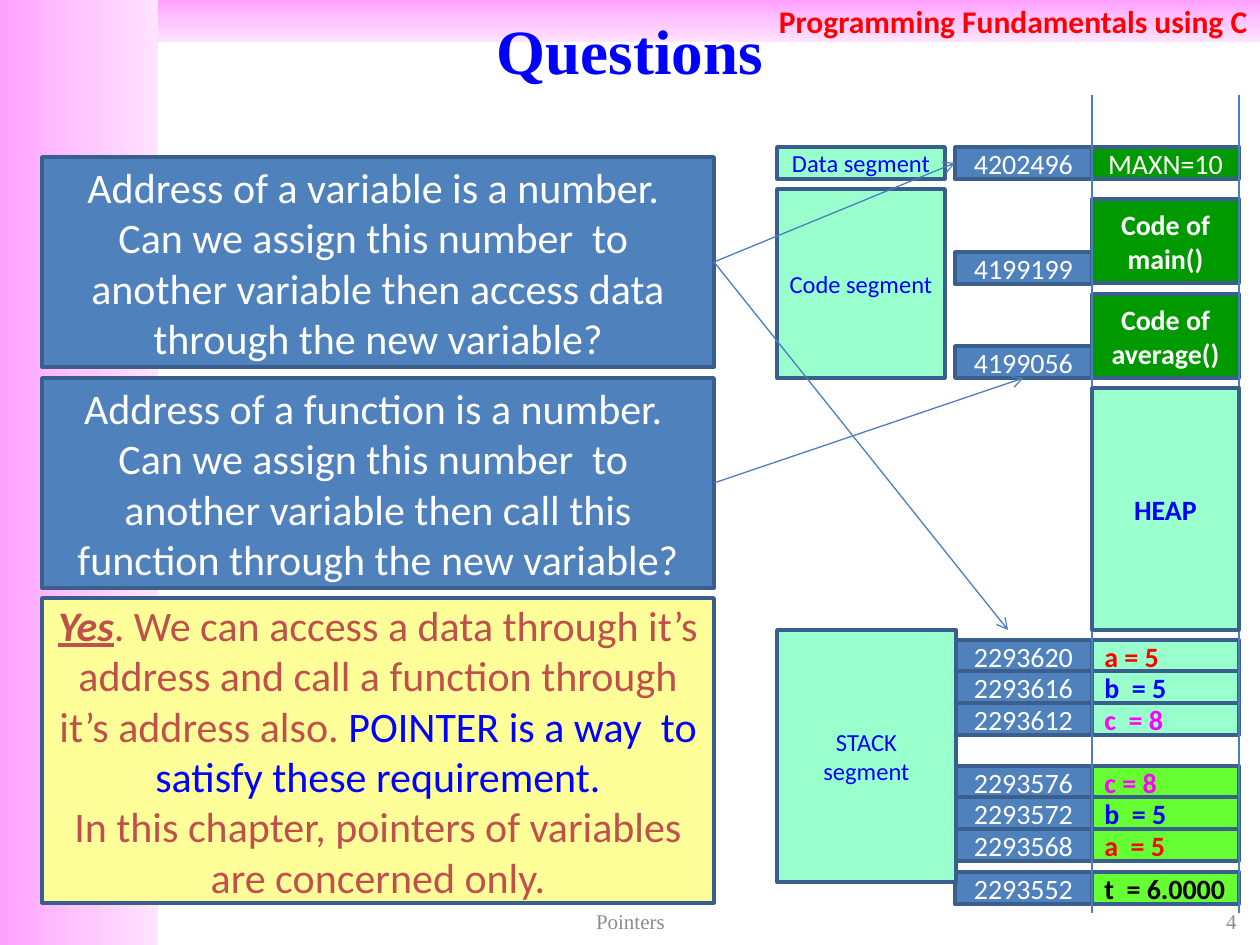
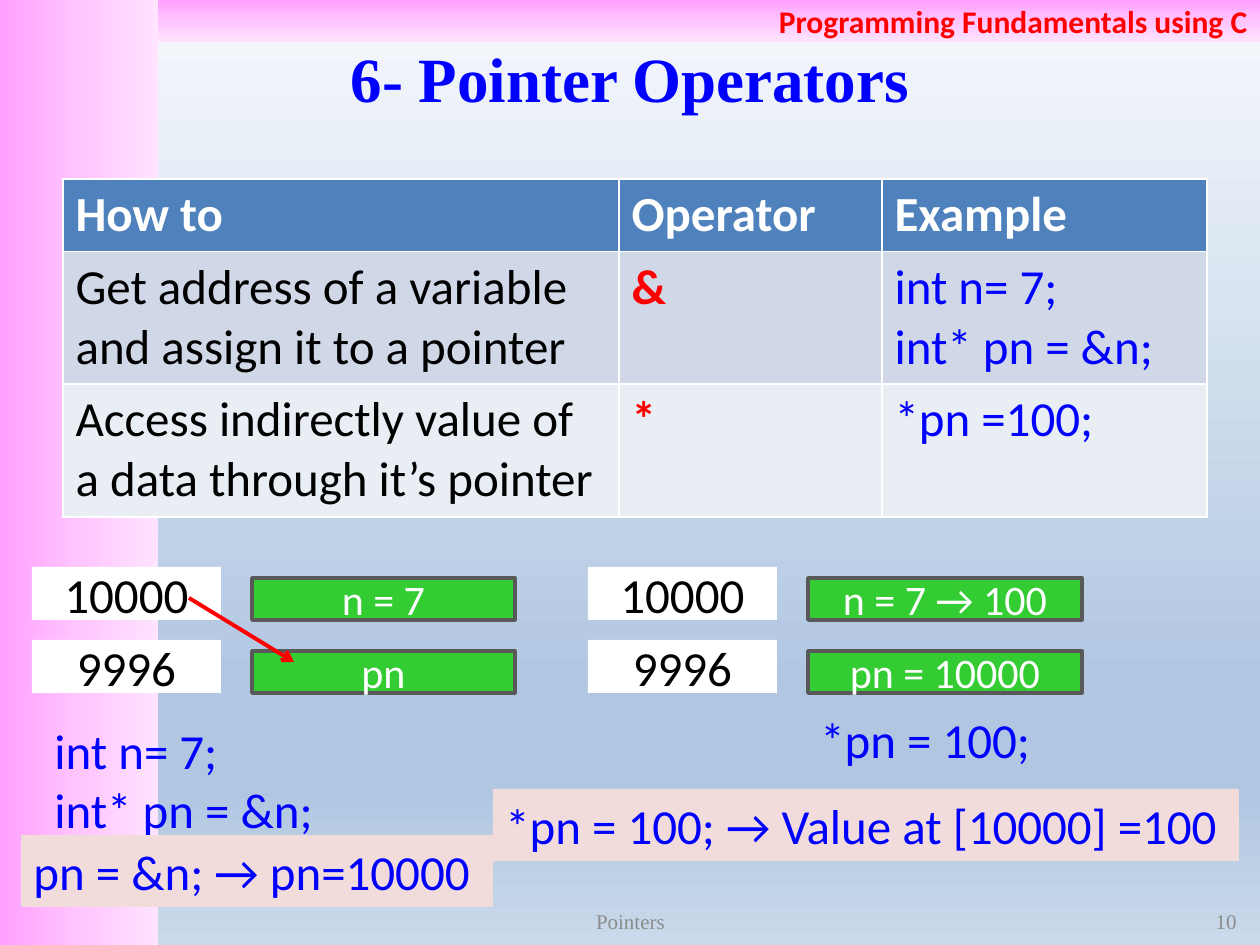
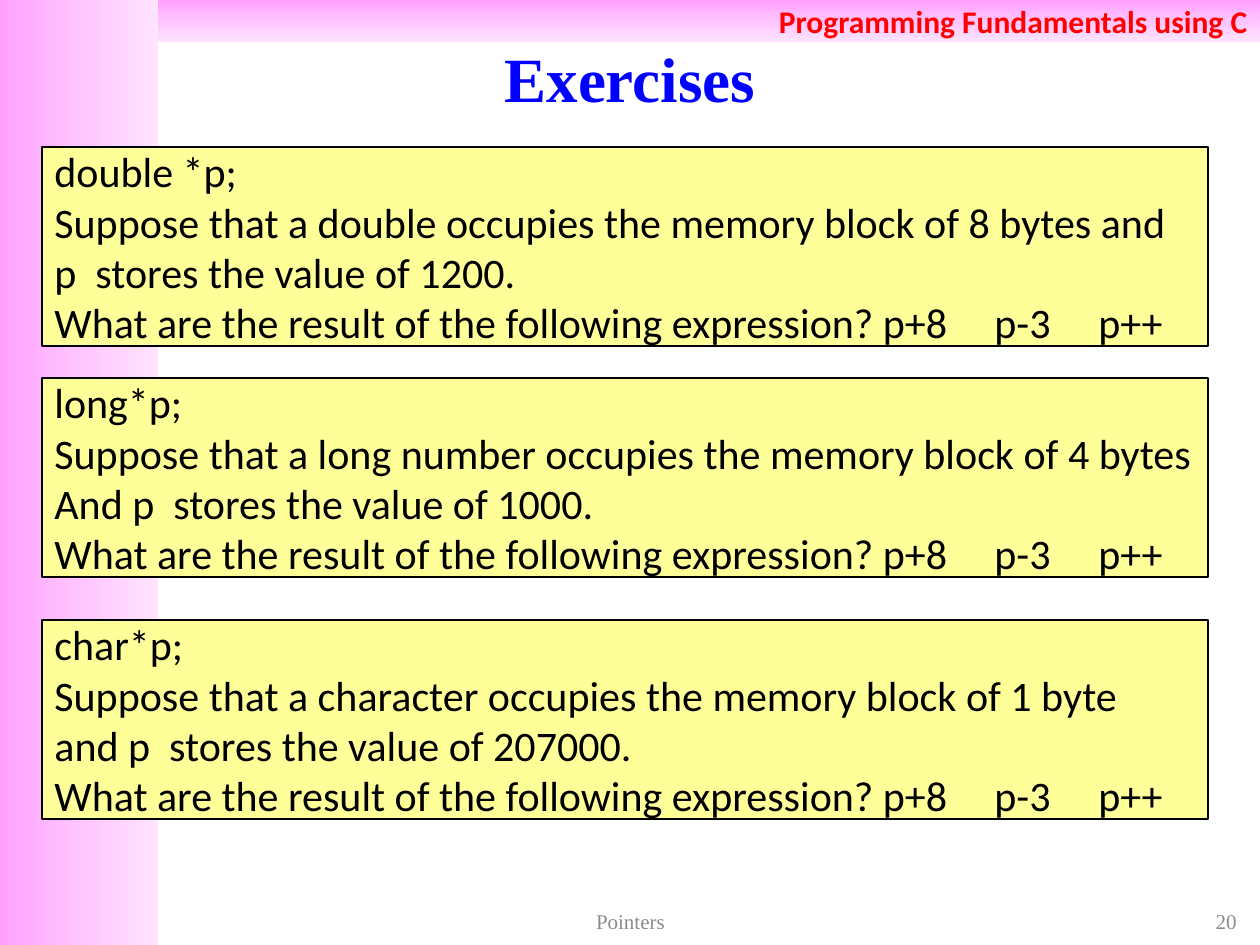
from lxml import etree
from pptx import Presentation, util as u
from pptx.dml.color import RGBColor
from pptx.enum import shapes, text
from pptx.oxml.ns import qn

EMU_PER_PX = 914400 / 126
COLORS = {
    "white": "FFFFFF", "black": "000000", "red": "FF0000", "blue": "0000FF",
    "magenta": "FF00FF", "brick": "C0504D", "gray": "8C8C8C",
    "steel": "4F81BD", "steel_edge": "3A5F8C", "wire": "4B7EBC",
    "mint": "99FFCC", "lime": "66FF33", "code": "009900",
    "green": "33CC33", "green_edge": "595959", "yellow": "FFFF99",
    "blush": "F2DCDB", "row_dark": "D0D8E8", "row_light": "E9EDF4",
}
BAND_STOPS = [(0, "FFA0FF"), (50, "FFC5FF"), (100, "FFE3FF")]
SKY_STOPS = [(0, "F6F9FC"), (74, "B0C6E1"), (83, "B0C6E1"), (100, "CAD9EB")]
LEFT, CENTER, RIGHT = text.PP_ALIGN.LEFT, text.PP_ALIGN.CENTER, text.PP_ALIGN.RIGHT
TOP, MIDDLE = text.MSO_ANCHOR.TOP, text.MSO_ANCHOR.MIDDLE
SIDE_LEFT, SIDE_BOTTOM, SIDE_RIGHT = 1, 2, 3
ADDRESS_X, ADDRESS_W = 955, 137
VALUE_X, VALUE_W = 1092, 147
CELL_H = 32


def px(length):
    return u.Emu(round(length * EMU_PER_PX))


def rgb(name):
    return RGBColor.from_string(COLORS[name])


def write(frame, paragraphs, align=LEFT, anchor=TOP, **base):
    frame.word_wrap = True
    frame.auto_size = text.MSO_AUTO_SIZE.NONE
    frame.vertical_anchor = anchor
    if isinstance(paragraphs, str):
        paragraphs = paragraphs.split("\n")
    for index, content in enumerate(paragraphs):
        paragraph = frame.add_paragraph() if index else frame.paragraphs[0]
        paragraph.alignment = align
        runs = [(content, {})] if isinstance(content, str) else content
        for words, changes in runs:
            look = {"size": 16, "font": "Calibri", "color": "black", **base, **changes}
            run = paragraph.add_run()
            run.text = words
            run.font.name = look["font"]
            run.font.size = u.Pt(look["size"])
            run.font.color.rgb = rgb(look["color"])
            run.font.bold = look.get("bold", False)
            run.font.italic = look.get("italic", False)
            run.font.underline = look.get("underline", False)


def box(slide, at, fill, words="", edge=None, edge_width=2, align=CENTER,
        anchor=MIDDLE, **look):
    rectangle = slide.shapes.add_shape(shapes.MSO_SHAPE.RECTANGLE, *map(px, at))
    rectangle.shadow.inherit = False
    rectangle.fill.solid()
    rectangle.fill.fore_color.rgb = rgb(fill)
    if edge:
        rectangle.line.color.rgb = rgb(edge)
        rectangle.line.width = u.Pt(edge_width)
    else:
        rectangle.line.fill.background()
    if words:
        write(rectangle.text_frame, words, align=align, anchor=anchor, **look)
    return rectangle


def label(slide, at, words, **look):
    write(slide.shapes.add_textbox(*map(px, at)).text_frame, words, **look)


def connect(slide, start, end, color="wire", width=0.75, begin_at=None,
            end_at=None, arrow=True):
    line = slide.shapes.add_connector(shapes.MSO_CONNECTOR.STRAIGHT,
                                      *map(px, start + end))
    if begin_at:
        line.begin_connect(*begin_at)
    if end_at:
        line.end_connect(*end_at)
    line.line.color.rgb = rgb(color)
    line.line.width = u.Pt(width)
    properties = line.element.spPr
    if arrow:
        etree.SubElement(properties.find(qn("a:ln")), qn("a:tailEnd"), type="arrow")
    etree.SubElement(properties, qn("a:effectLst"))


def gradient(element, stops, angle):
    solid = element.find(".//" + qn("a:solidFill"))
    blend = etree.Element(qn("a:gradFill"), rotWithShape="1")
    stop_list = etree.SubElement(blend, qn("a:gsLst"))
    for position, color in stops:
        stop = etree.SubElement(stop_list, qn("a:gs"), pos=str(position * 1000))
        etree.SubElement(stop, qn("a:srgbClr"), val=color)
    etree.SubElement(blend, qn("a:lin"), ang=str(angle * 60000), scaled="0")
    solid.getparent().replace(solid, blend)


def tab_stops(paragraph, positions):
    properties = paragraph._p.get_or_add_pPr()
    tabs = etree.SubElement(properties, qn("a:tabLst"))
    for position in positions:
        etree.SubElement(tabs, qn("a:tab"), pos=str(px(position)), algn="l")


def add_bands(deck, slide):
    side = box(slide, (0, 0, 158, 945), "white")
    course = box(slide, (158, 0, 1102, 42), "white",
                 "Programming Fundamentals using C", align=RIGHT,
                 size=18, color="red", bold=True)
    gradient(side.element, BAND_STOPS, 0)
    gradient(course.element, BAND_STOPS, 90)
    tree = deck.slide_master.shapes.element
    for index, band in enumerate((side, course)):
        tree.insert(2 + index, band.element)


def start_slide(deck, title, number, at=(0, 38, 1260, 78)):
    slide = deck.slides.add_slide(deck.slide_layouts[5])
    heading = slide.shapes.title
    heading.left, heading.top, heading.width, heading.height = map(px, at)
    write(heading.text_frame, title, align=CENTER, anchor=MIDDLE,
          size=36, font="Times New Roman", color="blue", bold=True)
    footer = {"anchor": MIDDLE, "size": 12, "font": "Times New Roman", "color": "gray"}
    label(slide, (431, 904, 399, 34), "Pointers", align=CENTER, **footer)
    label(slide, (955, 904, 294, 34), str(number), align=RIGHT, **footer)
    return slide


def address(slide, top, number):
    return box(slide, (ADDRESS_X, top, ADDRESS_W, CELL_H), "steel", number,
               edge="steel_edge", color="white")


def value(slide, top, height, fill, words, **look):
    box(slide, (VALUE_X, top, VALUE_W, height), fill, words, edge="steel_edge", **look)


def stack_frame(slide, top, fill, variables):
    for index, (number, words, color) in enumerate(variables):
        row_top = top + index * 63 // 2
        address(slide, row_top, number)
        value(slide, row_top, CELL_H, fill, words, align=LEFT, color=color, bold=True)


def memory_map(slide):
    data_address = address(slide, 147, "4202496")
    address(slide, 252, "4199199")
    average_address = address(slide, 346, "4199056")
    value(slide, 147, CELL_H, "code", "MAXN=10", color="white")
    value(slide, 199, 84, "code", "Code of main()", color="white", bold=True)
    value(slide, 294, 84, "code", "Code of average()", color="white", bold=True)
    stack_frame(slide, 640, "mint", [("2293620", "a = 5", "red"),
                                     ("2293616", "b  = 5", "blue"),
                                     ("2293612", "c  = 8", "magenta")])
    stack_frame(slide, 766, "lime", [("2293576", "c = 8", "magenta"),
                                     ("2293572", "b  = 5", "blue"),
                                     ("2293568", "a  = 5", "red")])
    stack_frame(slide, 872, "lime", [("2293552", "t  = 6.0000", "black")])
    for x in (VALUE_X, VALUE_X + VALUE_W):
        connect(slide, (x, 95), (x, 913), arrow=False)
    value(slide, 388, 242, "mint", "HEAP", color="blue", bold=True)
    for at, name in [((777, 630, 179, 252), "STACK\nsegment"),
                     ((777, 147, 168, 32), "Data segment"),
                     ((777, 189, 168, 189), "Code segment")]:
        box(slide, at, "mint", name, edge="steel_edge", size=14, color="blue")
    return data_address, average_address


def questions(deck):
    slide = start_slide(deck, "Questions", 4, (21, 10, 1218, 78))
    data_address, average_address = memory_map(slide)
    asked = [
        "Address of a variable is a number.  Can we assign this number  to  "
        "another variable then access data through the new variable?",
        "Address of a function is a number.  Can we assign this number  to  "
        "another variable then call this function through the new variable?",
    ]
    about_variable, about_function = [
        box(slide, (42, 157 + 221 * index, 672, 210), "steel", question,
            edge="steel_edge", size=24, color="white")
        for index, question in enumerate(asked)]
    variable_side = (about_variable, SIDE_RIGHT)
    connect(slide, (714, 262), (1008, 630), begin_at=variable_side)
    connect(slide, (714, 262), (955, 163), begin_at=variable_side,
            end_at=(data_address, SIDE_LEFT))
    connect(slide, (714, 483), (1023, 378), begin_at=(about_function, SIDE_RIGHT),
            end_at=(average_address, SIDE_BOTTOM))
    answer = [
        [("Yes", {"bold": True, "italic": True, "underline": True}),
         (". We can access a data through it’s address and call a function "
          "through it’s address also. ", {}),
         ("POINTER is a way  to satisfy these requirement.", {"color": "blue"})],
        "In this chapter, pointers of variables are concerned only.",
    ]
    box(slide, (42, 598, 672, 305), "yellow", answer, edge="steel_edge",
        size=24, color="brick")
    return slide


def operator_table(slide):
    rows = [("How to", "Operator", "Example"),
            ("Get address of a variable and assign it to a pointer", "&",
             "int n= 7;\nint* pn = &n;"),
            ("Access indirectly value of a data through it’s pointer", "*",
             "*pn =100;")]
    table = slide.shapes.add_table(3, 3, *map(px, (63, 179, 1144, 337))).table
    for column, width in zip(table.columns, (556, 263, 325)):
        column.width = px(width)
    for row, height in zip(table.rows, (72, 132, 133)):
        row.height = px(height)
    fills = ("steel", "row_dark", "row_light")
    for row_index, row in enumerate(rows):
        for column_index, words in enumerate(row):
            cell = table.cell(row_index, column_index)
            cell.fill.solid()
            cell.fill.fore_color.rgb = rgb(fills[row_index])
            color = ("black", "red", "blue")[column_index] if row_index else "white"
            write(cell.text_frame, words, size=28, color=color,
                  bold=row_index == 0 or column_index == 1)


def variable_cells(slide, address_x, value_x, value_w, contents):
    for index, (number, words) in enumerate(zip(("10000", "9996"), contents)):
        top = 567 + 73 * index
        box(slide, (address_x, top, 189, 53), "white", number, size=28)
        box(slide, (value_x, top + 11, value_w, 42), "green", words,
            edge="green_edge", size=24, color="white")


def pointer_operators(deck):
    slide = start_slide(deck, "6- Pointer Operators", 10)
    slide.background.fill.solid()
    slide.background.fill.fore_color.rgb = rgb("white")
    gradient(slide.element, SKY_STOPS, 90)
    operator_table(slide)
    variable_cells(slide, 32, 252, 263, ("n = 7", "pn"))
    variable_cells(slide, 588, 808, 274, ("n = 7 → 100", "pn = 10000"))
    connect(slide, (189, 598), (294, 662), color="red", width=2.25)
    code = {"size": 28, "color": "blue"}
    label(slide, (42, 714, 378, 131), "int n= 7;\nint* pn = &n;", **code)
    label(slide, (808, 703, 252, 72), "*pn = 100;", **code)
    for at, result in [((493, 789, 746, 72), "*pn = 100; → Value at [10000] =100"),
                       ((21, 835, 472, 72), "pn = &n; → pn=10000")]:
        box(slide, at, "blush", result, align=LEFT, anchor=TOP, **code)


def exercises(deck):
    slide = start_slide(deck, "Exercises", 20)
    tasks = [
        (147, "double *p;",
         "Suppose that a double occupies the memory block of 8 bytes and",
         "p  stores the value of 1200."),
        (378, "long*p;",
         "Suppose that a long number occupies the memory block of 4 bytes",
         "And p  stores the value of 1000."),
        (620, "char*p;",
         "Suppose that a character occupies the memory block of 1 byte",
         "and p  stores the value of 207000."),
    ]
    ask = "What are the result of the following expression? p+8\tp-3\tp++"
    for top, *lines in tasks:
        task = box(slide, (42, top, 1166, 199), "yellow", lines + [ask],
                   edge="black", edge_width=0.75, align=LEFT, size=24)
        tab_stops(task.text_frame.paragraphs[-1], (940, 1044))


def main():
    deck = Presentation()
    deck.slide_width, deck.slide_height = px(1260), px(945)
    add_bands(deck, questions(deck))
    pointer_operators(deck)
    exercises(deck)
    deck.save("out.pptx")


if __name__ == "__main__":
    main()
